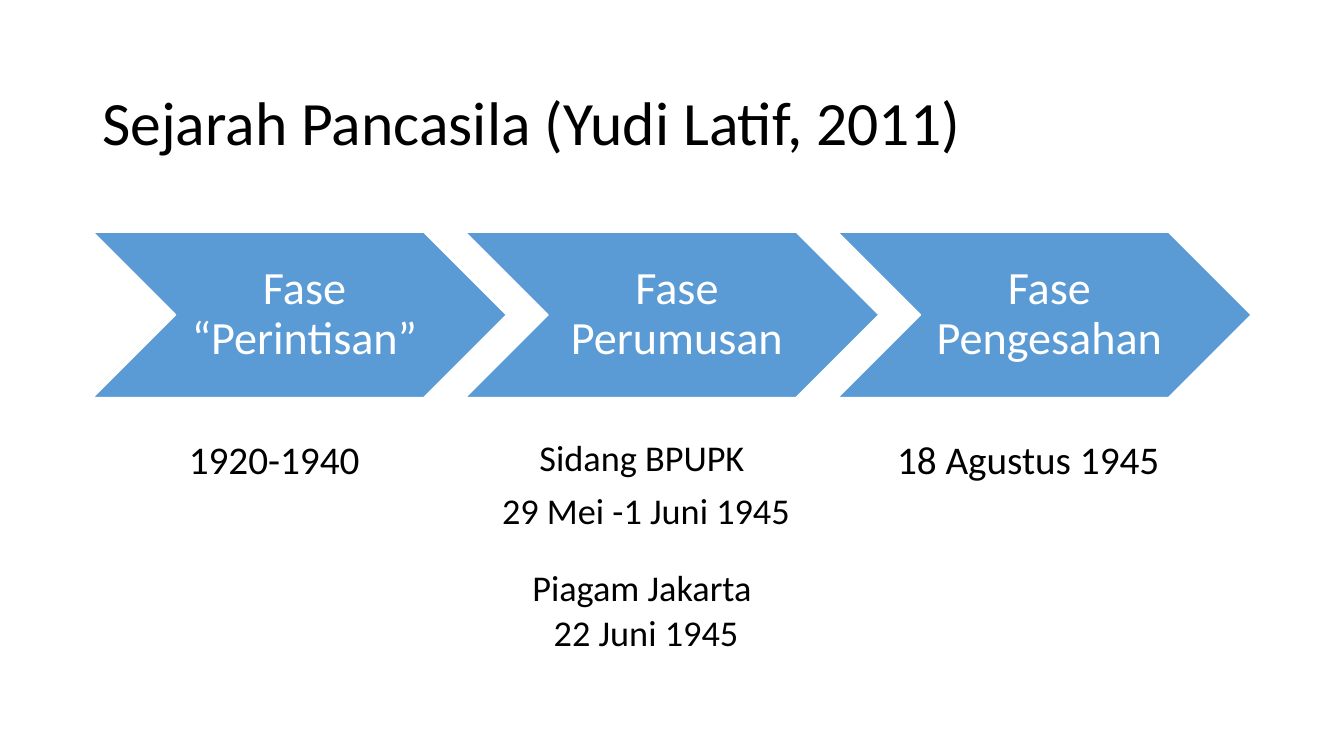
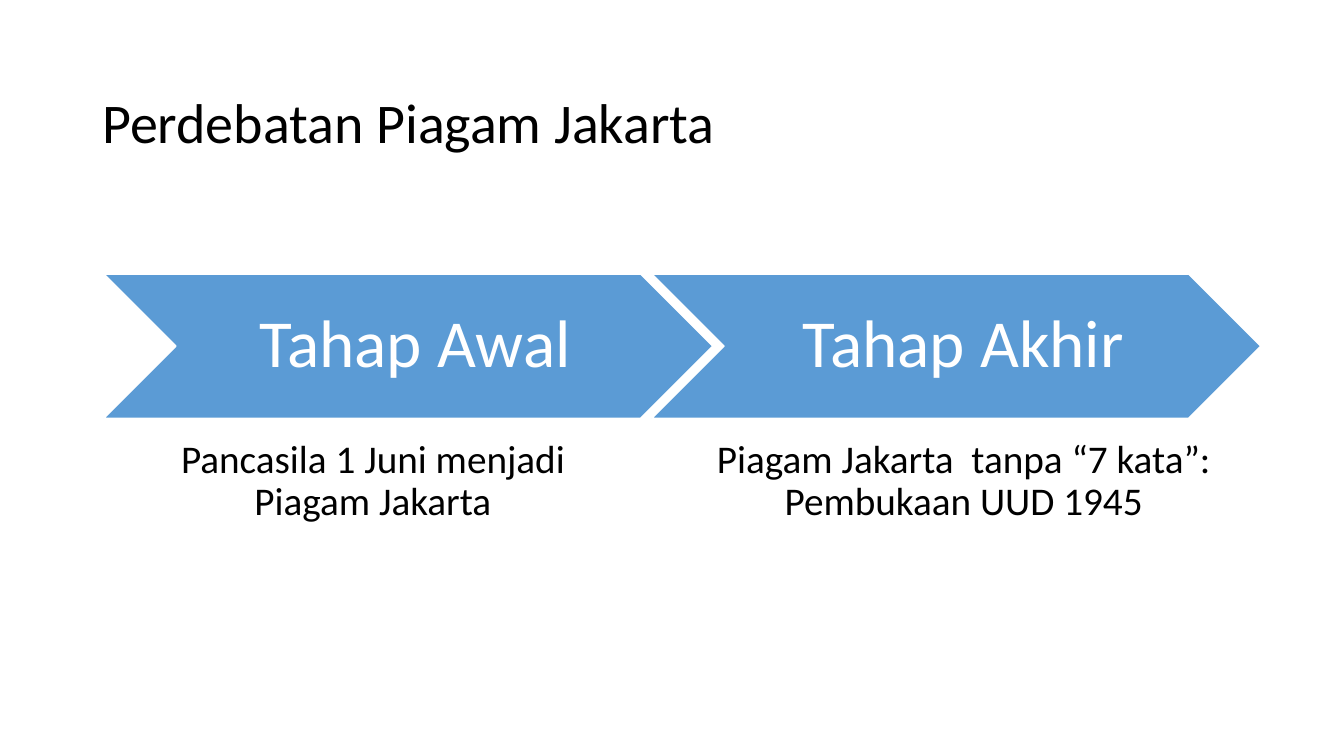
import pptx
import pptx.util
import pptx.dml.color
import pptx.enum.shapes
import pptx.enum.text

Pt = pptx.util.Pt
RGB = pptx.dml.color.RGBColor
ALIGN = pptx.enum.text.PP_ALIGN
ANCHOR = pptx.enum.text.MSO_ANCHOR

COLORS = {"text": "000000", "arrow": "5B9BD5", "white": "FFFFFF"}
FONT = "Calibri"


def write(sp, text, size, color="text", align=ALIGN.CENTER, anchor=ANCHOR.TOP,
          spacing=0.9, before=10, insets=(7.2, 3.6, 7.2, 3.6)):
    """Fill a shape with one paragraph per line; insets are left, top, right, bottom."""
    tf = sp.text_frame
    tf.word_wrap = True
    tf.vertical_anchor = anchor
    tf.margin_left, tf.margin_top, tf.margin_right, tf.margin_bottom = map(Pt, insets)
    for i, line in enumerate(text.split("\n")):
        p = tf.paragraphs[0] if i == 0 else tf.add_paragraph()
        p.alignment = align
        p.line_spacing = spacing
        p.space_before = Pt(before if i else 0)
        r = p.add_run()
        r.text = line
        r.font.name = FONT
        r.font.size = Pt(size)
        r.font.color.rgb = RGB.from_string(COLORS[color])


slides = [
    {
        "title": ("Sejarah Pancasila (Yudi Latif, 2011)", 44),
        "phases": ["Fase “Perintisan”", "Fase Perumusan", "Fase Pengesahan"],
        "left": 66.4, "top": 165.8, "width": 295.4, "height": 118.2, "step": 266,
        "size": 33, "insets": (10.4, 3.5, 3.5, 3.5),
        # left, top, width, height, text, size, line spacing
        "captions": [
            (82.8, 311, 226, 43, "1920-1940", 28, 0.9),
            (348.5, 311, 226, 85, "Sidang BPUPK \n29 Mei -1 Juni 1945", 25.9, 0.9),
            (621.4, 311, 226, 43, "18 Agustus 1945", 28, 0.9),
            (348.5, 409, 226, 63, "Piagam Jakarta \n22 Juni 1945", 25.9, 0.7),
        ],
    },
    {
        "title": ("Perdebatan Piagam Jakarta", 40),
        "phases": ["Tahap Awal", "Tahap Akhir"],
        "left": 74.2, "top": 195.8, "width": 434.9, "height": 103, "step": 391.5,
        "size": 48, "insets": (15, 5, 5, 5),
        "captions": [
            (82, 310.3, 368.6, 81, "Pancasila 1 Juni menjadi Piagam Jakarta", 28, 0.9),
            (504, 310.3, 368.6, 81,
             "Piagam Jakarta  tanpa “7 kata”: Pembukaan UUD 1945", 28, 0.9),
        ],
    },
]

prs = pptx.Presentation()
prs.slide_width, prs.slide_height = Pt(960), Pt(540)

for content in slides:
    s = prs.slides.add_slide(prs.slide_layouts[6])

    title, title_size = content["title"]
    sp = s.shapes.add_textbox(Pt(66), Pt(37.5), Pt(828), Pt(104.4))
    write(sp, title, title_size, align=ALIGN.LEFT, anchor=ANCHOR.MIDDLE)

    for i, phase in enumerate(content["phases"]):
        sp = s.shapes.add_shape(
            pptx.enum.shapes.MSO_SHAPE.CHEVRON,
            Pt(content["left"] + i * content["step"]), Pt(content["top"]),
            Pt(content["width"]), Pt(content["height"]))
        sp.shadow.inherit = False
        sp.fill.solid()
        sp.fill.fore_color.rgb = RGB.from_string(COLORS["arrow"])
        sp.line.color.rgb = RGB.from_string(COLORS["white"])
        sp.line.width = Pt(1)
        write(sp, phase, content["size"], color="white", anchor=ANCHOR.MIDDLE,
              insets=content["insets"])

    for left, top, width, height, text, size, spacing in content["captions"]:
        sp = s.shapes.add_textbox(Pt(left), Pt(top), Pt(width), Pt(height))
        write(sp, text, size, spacing=spacing)

prs.save("out.pptx")
